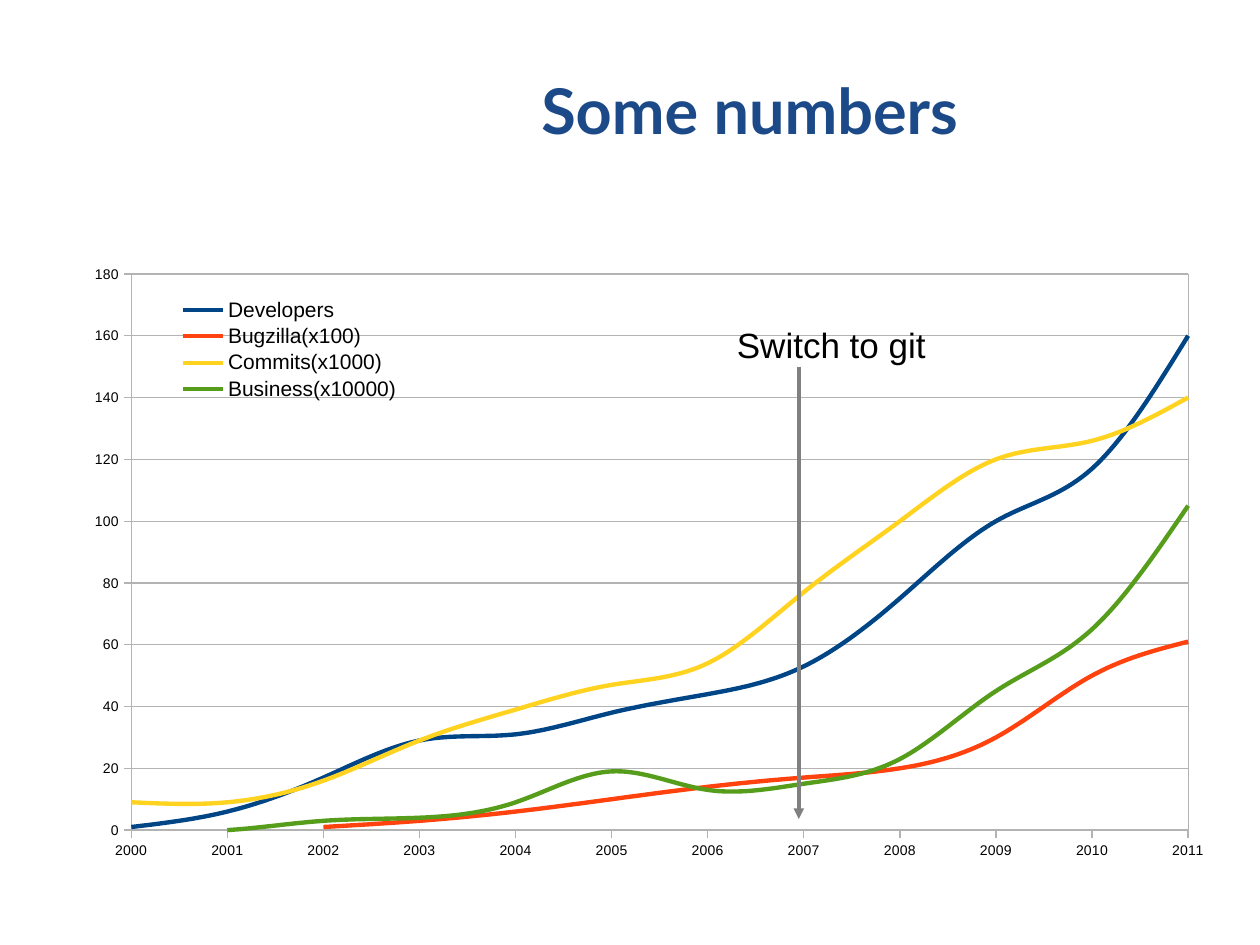
import pptx
import pptx.chart.data
import pptx.dml.color
import pptx.enum.chart
import pptx.enum.shapes
import pptx.enum.text
import pptx.oxml
import pptx.oxml.ns
import pptx.util
from pptx.util import Inches, Pt

INK, NAVY, GREY, RULE = "000000", "1C4A88", "808080", "B3B3B3"
NS = pptx.oxml.ns.nsdecls("a", "c")
YEARS = [str(year) for year in range(2000, 2012)]
SERIES = [
    ("Developers", "004586", [1, 6, 17, 29, 31, 38, 44, 53, 75, 100, 117, 160]),
    ("Bugzilla(x100)", "FF420E", [None, None, 1, 3, 6, 10, 14, 17, 20, 30, 50, 61]),
    ("Commits(x1000)", "FFD320", [9, 9, 16, 29, 39, 47, 54, 77, 100, 120, 126, 140]),
    ("Business(x10000)", "579D1C", [0, 0, 3, 4, 9, 19, 13, 15, 23, 45, 65, 105]),
]


def color(code):
    return pptx.dml.color.RGBColor.from_string(code)


def layout(x, y, w, h, inner=False):
    """Return a manual chart layout, in fractions of the chart."""
    target = '<c:layoutTarget val="inner"/>' if inner else ""
    sizes = "".join(f'<c:{tag} val="{val}"/>' for tag, val in zip("xywh", (x, y, w, h)))
    return pptx.oxml.parse_xml(
        f'<c:layout {NS}><c:manualLayout>{target}<c:xMode val="edge"/>'
        f'<c:yMode val="edge"/>{sizes}</c:manualLayout></c:layout>')


class Deck:
    """Holds the style and the current slide."""

    def __init__(self):
        self.show = pptx.Presentation()
        self.show.slide_width, self.show.slide_height = Inches(10), Inches(7.5)
        self.slide = self.show.slides.add_slide(self.show.slide_layouts[6])

    def font(self, font, size, code=INK, name="Arial", bold=False):
        font.size, font.name, font.bold = Pt(size), name, bold
        font.color.rgb = color(code)

    def line(self, line, code, width=0):
        line.color.rgb = color(code)
        line.width = Pt(width)

    def text(self, words, box, size, center=False, **style):
        frame = self.slide.shapes.add_textbox(*map(Inches, box)).text_frame
        frame.word_wrap = True
        para = frame.paragraphs[0]
        para.text = words
        if center:
            frame.vertical_anchor = pptx.enum.text.MSO_ANCHOR.MIDDLE
            para.alignment = pptx.enum.text.PP_ALIGN.CENTER
            frame.margin_left = frame.margin_right = 0
            frame.margin_top = frame.margin_bottom = 0
        self.font(para.font, size, **style)

    def arrow(self, *ends):
        link = self.slide.shapes.add_connector(
            pptx.enum.shapes.MSO_CONNECTOR.STRAIGHT, *map(Inches, ends))
        self.line(link.line, GREY)
        props = link._element.spPr
        props.find(pptx.oxml.ns.qn("a:ln")).append(
            pptx.oxml.parse_xml(f'<a:tailEnd {NS} type="triangle"/>'))
        props.append(pptx.oxml.parse_xml(f"<a:effectLst {NS}/>"))

    def axis(self, axis):
        axis.major_tick_mark = pptx.enum.chart.XL_TICK_MARK.OUTSIDE
        axis.minor_tick_mark = pptx.enum.chart.XL_TICK_MARK.NONE
        self.font(axis.tick_labels.font, 8)
        self.line(axis.format.line, RULE)

    def chart(self, box):
        data = pptx.chart.data.CategoryChartData()
        data.categories = YEARS
        for name, _, vals in SERIES:
            data.add_series(name, vals)
        chart = self.slide.shapes.add_chart(
            pptx.enum.chart.XL_CHART_TYPE.LINE, *map(Inches, box), data).chart
        chart.has_title = False
        self.font(chart.font, 10)
        plot = chart.plots[0]
        plot.vary_by_categories = False
        for series, (_, code, _) in zip(plot.series, SERIES):
            series.smooth = True
            self.line(series.format.line, code, 2.5)

        years, scale = chart.category_axis, chart.value_axis
        self.axis(years)
        self.axis(scale)
        years.has_major_gridlines = False
        scale.minimum_scale, scale.maximum_scale, scale.major_unit = 0, 180, 20
        scale.has_major_gridlines = True
        self.line(scale.major_gridlines.format.line, RULE)
        scale._element.find(pptx.oxml.ns.qn("c:crosses")).addnext(
            pptx.oxml.parse_xml(f'<c:crossBetween {NS} val="midCat"/>'))

        area = chart._chartSpace.chart.plotArea
        for old in area.findall(pptx.oxml.ns.qn("c:layout")):
            area.remove(old)
        area.insert(0, layout(0.07, 0.1, 0.9, 0.81, inner=True))
        area.append(pptx.oxml.parse_xml(
            f'<c:spPr {NS}><a:noFill/><a:ln w="0"><a:solidFill>'
            f'<a:srgbClr val="{RULE}"/></a:solidFill></a:ln></c:spPr>'))

        chart.has_legend = True
        legend = chart.legend
        legend.position = pptx.enum.chart.XL_LEGEND_POSITION.RIGHT
        legend.include_in_layout = True
        self.font(legend.font, 12)
        for old in legend._element.findall(pptx.oxml.ns.qn("c:layout")):
            legend._element.remove(old)
        legend._element.insert(1, layout(0.11, 0.13, 0.19, 0.16))


def main():
    deck = Deck()
    deck.text("Some numbers", (2.13, 0, 7.64, 1.73), 36, center=True,
              code=NAVY, name="Lato", bold=True)
    deck.chart((0.39, 1.63, 9.32, 5.45))
    deck.arrow(6.34, 2.91, 6.34, 6.5)
    deck.text("Switch to git", (5.75, 2.52, 1.77, 0.41), 20)
    deck.show.save("out.pptx")


if __name__ == "__main__":
    main()
